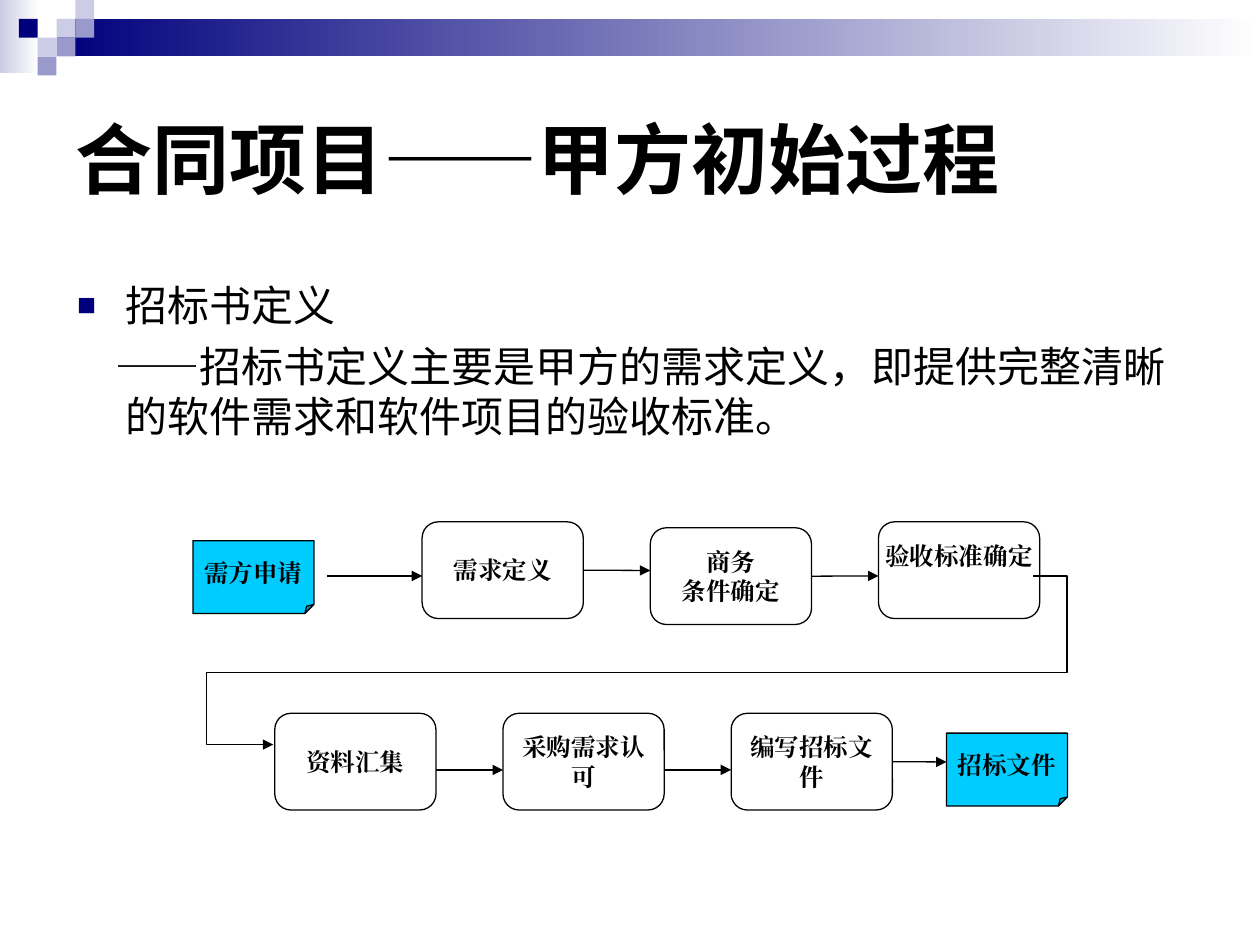
from dataclasses import dataclass

from lxml import etree
from pptx import Presentation
from pptx.dml.color import RGBColor
from pptx.enum.shapes import MSO_CONNECTOR, MSO_SHAPE
from pptx.enum.text import MSO_ANCHOR, MSO_AUTO_SIZE, PP_ALIGN
from pptx.oxml.ns import qn
from pptx.util import Cm, Pt

RECT = MSO_SHAPE.RECTANGLE
ROUND = MSO_SHAPE.ROUNDED_RECTANGLE
FOLD = MSO_SHAPE.FOLDED_CORNER
LINE = MSO_CONNECTOR.STRAIGHT
MIDDLE = MSO_ANCHOR.MIDDLE
TOP = MSO_ANCHOR.TOP
FIXED = MSO_AUTO_SIZE.NONE
LEFT = PP_ALIGN.LEFT
CENTER = PP_ALIGN.CENTER

BLACK, WHITE, NAVY = "000000", "FFFFFF", "00007D"
PALE, MID, CYAN = "CCCCE6", "9999CC", "00CCFF"
SANS, SERIF, CJK = "Arial", "Times New Roman", "Noto Sans CJK SC"
RIGHT_SIDE = 3
UNIT = 0.38
STEP = 4.6
BOX_W, BOX_H = 3.25, 1.95
NOTE_W, NOTE_H = 2.44, 1.47


@dataclass
class Tile:
    col: int
    row: int
    tint: str


@dataclass
class Node:
    x: float
    y: float
    lines: list[str]
    side: float = 0.25
    foot: float = 0


@dataclass
class Arrow:
    x: float
    end: float
    y: float
    source: int | None = None


TILES = [
    Tile(3, 1, PALE), Tile(4, 0, PALE), Tile(4, 1, MID), Tile(2, 2, PALE),
    Tile(1, 1, NAVY), Tile(3, 2, MID), Tile(2, 3, MID),
]
X1, X2 = 8.51, 5.54
BOXES = [
    Node(X1, 10.52, ["需求定义"]),
    Node(X1 + STEP, 10.64, ["商务", "条件确定"]),
    Node(X1 + 2 * STEP, 10.52, ["验收标准确定"], 0, 0.6),
    Node(X2, 14.38, ["资料汇集"]),
    Node(X2 + STEP, 14.38, ["采购需求认可"]),
    Node(X2 + 2 * STEP, 14.38, ["编写招标文件"]),
]
NOTES = [
    Node(3.89, 10.9, ["需方申请"], 0),
    Node(19.08, 14.78, ["招标文件"], 0),
]
ARROWS = [
    Arrow(6.6, X1, 11.61),
    Arrow(X1 + BOX_W, X1 + STEP, 11.5, 0),
    Arrow(X1 + STEP + BOX_W, X1 + 2 * STEP, 11.61, 1),
    Arrow(X2 + BOX_W, X2 + STEP, 15.52),
    Arrow(X2 + STEP + BOX_W, X2 + 2 * STEP, 15.52),
    Arrow(X2 + 2 * STEP + BOX_W, 19.08, 15.36, 5),
]
BEND = [(20.83, 11.61), (21.51, 11.61), (21.51, 13.56),
        (4.17, 13.56), (4.17, 15.01), (5.51, 15.01)]


def color(tint: str) -> RGBColor:
    return RGBColor.from_string(tint)


def write(para, text: str, size: float, face: str, bold: bool = False) -> None:
    run = para.add_run()
    run.text = text
    font = run.font
    font.size, font.bold, font.name = Pt(size), bold, face
    font.color.rgb = color(BLACK)
    etree.SubElement(run._r.get_or_add_rPr(), qn("a:ea"), typeface=face)


def place(shape, x: float, y: float, w: float, h: float) -> None:
    shape.left, shape.top, shape.width, shape.height = Cm(x), Cm(y), Cm(w), Cm(h)


def stroke(shape) -> None:
    shape.line.color.rgb = color(BLACK)
    shape.line.width = Pt(0.75)


def point(shape) -> None:
    stroke(shape)
    line = shape.element.spPr.find(qn("a:ln"))
    etree.SubElement(line, qn("a:tailEnd"), type="triangle")


def draw_fade(shapes, x: float, y: float, w: float, h: float, tint: str) -> None:
    bar = shapes.add_shape(RECT, Cm(x), Cm(y), Cm(w), Cm(h))
    bar.shadow.inherit = False
    bar.line.fill.background()
    bar.fill.gradient()
    bar.fill.gradient_angle = 0
    for stop, hue in zip(bar.fill.gradient_stops, (tint, WHITE)):
        stop.color.rgb = color(hue)


def draw_tile(shapes, tile: Tile) -> None:
    shape = shapes.add_shape(RECT, Cm(tile.col * UNIT), Cm(tile.row * UNIT), Cm(UNIT), Cm(UNIT))
    shape.shadow.inherit = False
    shape.line.fill.background()
    shape.fill.solid()
    shape.fill.fore_color.rgb = color(tile.tint)


def draw_node(shapes, node: Node, kind, w: float, h: float, tint: str, corner: int):
    shape = shapes.add_shape(kind, Cm(node.x), Cm(node.y), Cm(w), Cm(h))
    guides = shape.element.spPr.find(qn("a:prstGeom")).find(qn("a:avLst"))
    guides.clear()
    etree.SubElement(guides, qn("a:gd"), name="adj", fmla=f"val {corner}")
    shape.shadow.inherit = False
    shape.fill.solid()
    shape.fill.fore_color.rgb = color(tint)
    stroke(shape)
    frame = shape.text_frame
    frame.word_wrap = True
    frame.vertical_anchor = MIDDLE
    frame.margin_left = frame.margin_right = Cm(node.side)
    frame.margin_top, frame.margin_bottom = 0, Cm(node.foot)
    for index, text in enumerate(node.lines):
        para = frame.add_paragraph() if index else frame.paragraphs[0]
        para.alignment = CENTER
        write(para, text, 14, SERIF, True)
    return shape


def draw_arrow(shapes, arrow: Arrow, boxes: list) -> None:
    link = shapes.add_connector(LINE, Cm(arrow.x), Cm(arrow.y), Cm(arrow.end), Cm(arrow.y))
    if arrow.source is not None:
        link.begin_connect(boxes[arrow.source], RIGHT_SIDE)
    point(link)
    etree.SubElement(link.element.spPr, qn("a:effectLst"))


def draw_bend(shapes) -> None:
    dots = [(Cm(x), Cm(y)) for x, y in BEND]
    form = shapes.build_freeform(*dots[0])
    form.add_line_segments(dots[1:], close=False)
    bend = form.convert_to_shape()
    bend.shadow.inherit = False
    bend.fill.background()
    point(bend)


def fill_body(body) -> None:
    place(body, 1.3, 5.51, 22.86, 3.63)
    frame = body.text_frame
    frame.auto_size, frame.vertical_anchor = FIXED, TOP
    head, text = frame.paragraphs[0], frame.add_paragraph()
    for para, indent, gap in ((head, -0.97, 0), (text, -0.2, 6)):
        props = para._p.get_or_add_pPr()
        props.set("marL", str(Cm(0.97)))
        props.set("indent", str(Cm(indent)))
        para.alignment, para.space_before = LEFT, Pt(gap)
    props = head._p.get_or_add_pPr()
    tint = etree.SubElement(props, qn("a:buClr"))
    etree.SubElement(tint, qn("a:srgbClr"), val=NAVY)
    etree.SubElement(props, qn("a:buSzPct"), val="75000")
    etree.SubElement(props, qn("a:buChar"), char="■")
    etree.SubElement(text._p.get_or_add_pPr(), qn("a:buNone"))
    write(head, "招标书定义", 24, SANS)
    write(text, "——", 24, CJK)
    write(text, "招标书定义主要是甲方的需求定义，即提供完整清晰的软件需求和软件项目的验收标准。", 24, SANS)


def main() -> None:
    deck = Presentation()
    deck.slide_width, deck.slide_height = Cm(25.4), Cm(19.05)
    slide = deck.slides.add_slide(deck.slide_layouts[1])
    shapes = slide.shapes
    draw_fade(shapes, 0, 0, 0.79, 1.47, PALE)
    draw_fade(shapes, 1.14, UNIT, 24.26, 0.76, NAVY)
    for tile in TILES:
        draw_tile(shapes, tile)
    title = shapes.title
    place(title, 1.27, 1.27, 22.86, 3.81)
    title.text_frame.auto_size = FIXED
    title.text_frame.vertical_anchor = MIDDLE
    title.text_frame.paragraphs[0].alignment = LEFT
    write(title.text_frame.paragraphs[0], "合同项目——甲方初始过程", 44, CJK, True)
    fill_body(slide.placeholders[1])
    boxes = [draw_node(shapes, node, ROUND, BOX_W, BOX_H, WHITE, 16667) for node in BOXES]
    for note in NOTES:
        draw_node(shapes, note, FOLD, NOTE_W, NOTE_H, CYAN, 12500)
    for arrow in ARROWS:
        draw_arrow(shapes, arrow, boxes)
    draw_bend(shapes)
    deck.save("out.pptx")


if __name__ == "__main__":
    main()
